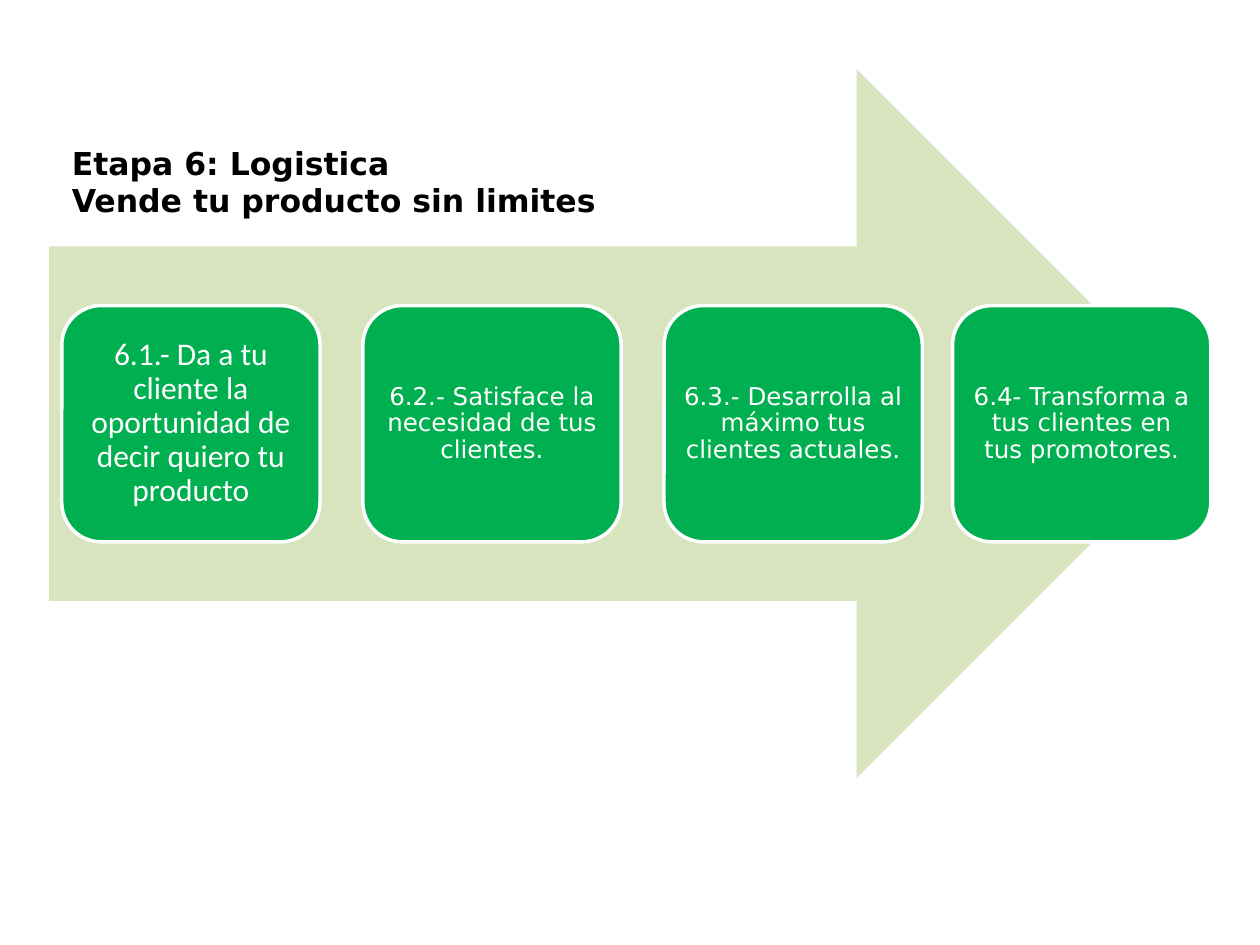
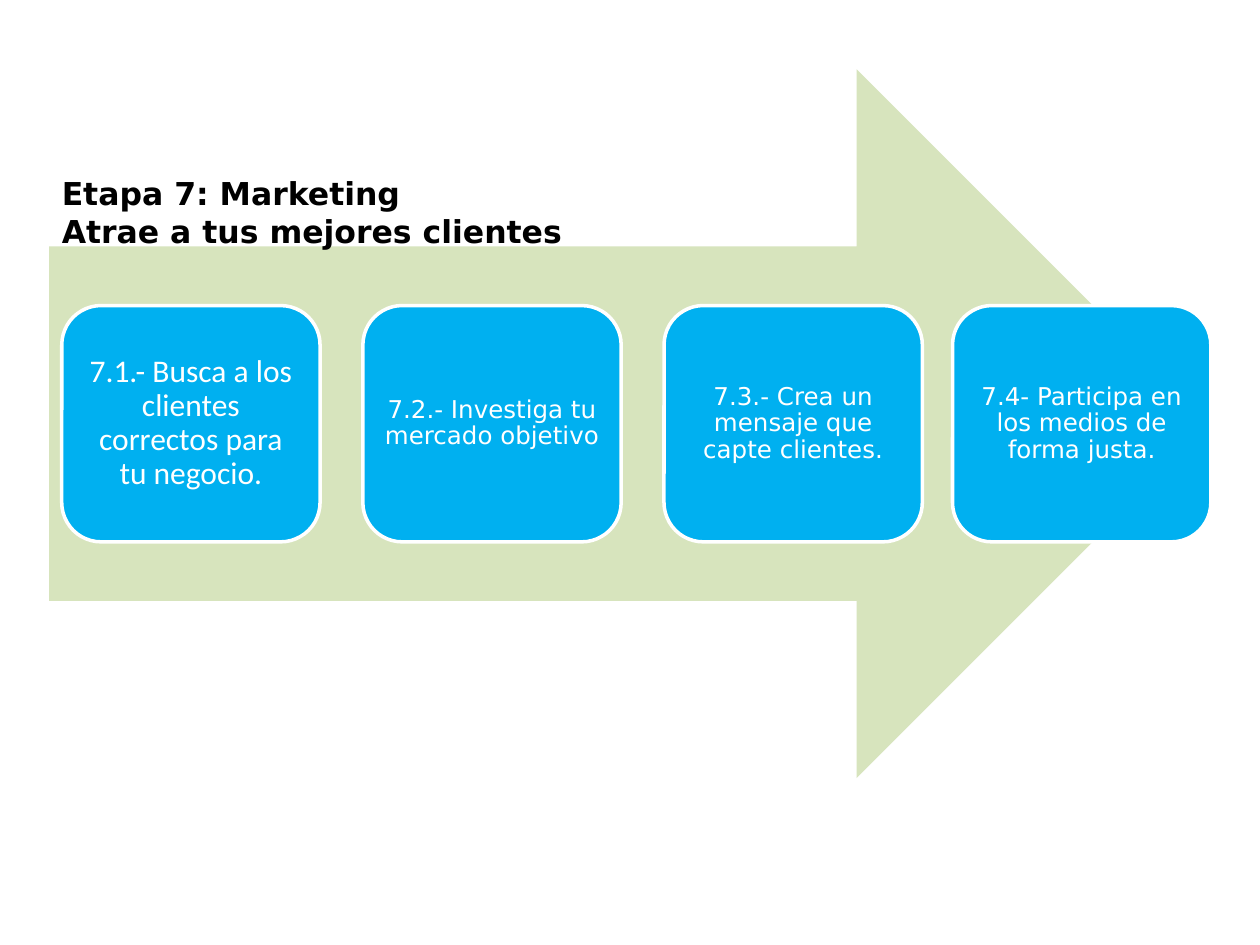
from dataclasses import dataclass

from pptx import Presentation
from pptx.dml.color import RGBColor
from pptx.enum.shapes import MSO_SHAPE
from pptx.enum.text import MSO_ANCHOR, MSO_AUTO_SIZE, PP_ALIGN
from pptx.util import Inches, Pt


@dataclass(frozen=True)
class Theme:
    arrow: RGBColor = RGBColor(0xD7, 0xE4, 0xBD)
    logistics: RGBColor = RGBColor(0x00, 0xB0, 0x50)
    marketing: RGBColor = RGBColor(0x00, 0xB0, 0xF0)
    light: RGBColor = RGBColor(0xFF, 0xFF, 0xFF)
    dark: RGBColor = RGBColor(0x00, 0x00, 0x00)
    lead_font: str = "Calibri"
    body_font: str = "DejaVu Sans"
    large: int = 18
    small: int = 14
    outline: int = 2


@dataclass(frozen=True)
class Box:
    """A region, in inches."""
    left: float
    top: float
    width: float
    height: float

    def lengths(self):
        return [Inches(v) for v in (self.left, self.top, self.width, self.height)]


THEME = Theme()
SLIDE_W, SLIDE_H = 10, 7.5
TITLE_ONLY = 5
PROCESS = Box(0.039 * SLIDE_W, 0.55, 0.922 * SLIDE_W, 0.75 * SLIDE_H)


def style_paragraph(paragraph, font_name, size, color, align, bold=False):
    paragraph.alignment = align
    font = paragraph.font
    font.name, font.size, font.bold = font_name, Pt(size), bold
    font.color.rgb = color


def add_panel(slide, preset, box, color):
    panel = slide.shapes.add_shape(preset, *box.lengths())
    panel.shadow.inherit = False
    panel.fill.solid()
    panel.fill.fore_color.rgb = color
    panel.line.fill.background()
    return panel


def place_title(slide, box, lines):
    title = slide.shapes.title
    title.left, title.top, title.width, title.height = box.lengths()
    frame = title.text_frame
    frame.text = "\n".join(lines)
    frame.word_wrap = False
    frame.auto_size = MSO_AUTO_SIZE.SHAPE_TO_FIT_TEXT
    frame.vertical_anchor = MSO_ANCHOR.TOP
    for paragraph in frame.paragraphs:
        style_paragraph(paragraph, THEME.body_font, THEME.large, THEME.dark,
                        PP_ALIGN.LEFT, bold=True)
    # Bring the heading in front of the arrow
    slide.shapes.element.append(title.element)


def add_step(slide, box, text, color, is_lead):
    step = add_panel(slide, MSO_SHAPE.ROUNDED_RECTANGLE, box, color)
    step.line.color.rgb = THEME.light
    step.line.width = Pt(THEME.outline)
    frame = step.text_frame
    frame.text = text
    frame.word_wrap = True
    frame.vertical_anchor = MSO_ANCHOR.MIDDLE
    inset = Inches(0.07 if is_lead else 0.06)
    frame.margin_left = frame.margin_right = inset
    frame.margin_top = frame.margin_bottom = inset
    paragraph = frame.paragraphs[0]
    paragraph.line_spacing = 0.9
    style_paragraph(paragraph,
                    THEME.lead_font if is_lead else THEME.body_font,
                    THEME.large if is_lead else THEME.small,
                    THEME.light, PP_ALIGN.CENTER)


def add_process(slide, box, steps, color):
    # Arrow behind the steps
    add_panel(slide, MSO_SHAPE.RIGHT_ARROW, box, THEME.arrow)

    # Steps in the middle third, the last one kept inside the arrow tip
    height = box.height / 3
    width, pitch, indent = 2.05, 2.39, 0.1
    last_left = box.left + box.width - width
    for index, text in enumerate(steps):
        left = min(box.left + indent + index * pitch, last_left)
        step_box = Box(left, box.top + height, width, height)
        add_step(slide, step_box, text, color, is_lead=index == 0)


def add_stage_slide(deck, title_box, title_lines, steps, color):
    slide = deck.slides.add_slide(deck.slide_layouts[TITLE_ONLY])
    add_process(slide, PROCESS, steps, color)
    place_title(slide, title_box, title_lines)


deck = Presentation()
deck.slide_width, deck.slide_height = Inches(SLIDE_W), Inches(SLIDE_H)

# Stage 6: logistics
add_stage_slide(
    deck, Box(0.47, 1.09, 4.37, 0.71),
    ["Etapa 6: Logistica", "Vende tu producto sin limites"],
    ["6.1.- Da a tu cliente la oportunidad de decir quiero tu producto",
     "6.2.- Satisface la necesidad de tus clientes.",
     "6.3.- Desarrolla al máximo tus clientes actuales.",
     "6.4- Transforma a tus clientes en tus promotores."],
    THEME.logistics)

# Stage 7: marketing
add_stage_slide(
    deck, Box(PROCESS.left, 1.33, 4.19, 0.71),
    ["Etapa 7: Marketing", "Atrae a tus mejores clientes"],
    ["7.1.- Busca a los clientes correctos para tu negocio.",
     "7.2.- Investiga tu mercado objetivo",
     "7.3.- Crea un mensaje que capte clientes.",
     "7.4- Participa en los medios de forma justa."],
    THEME.marketing)

deck.save("out.pptx")
